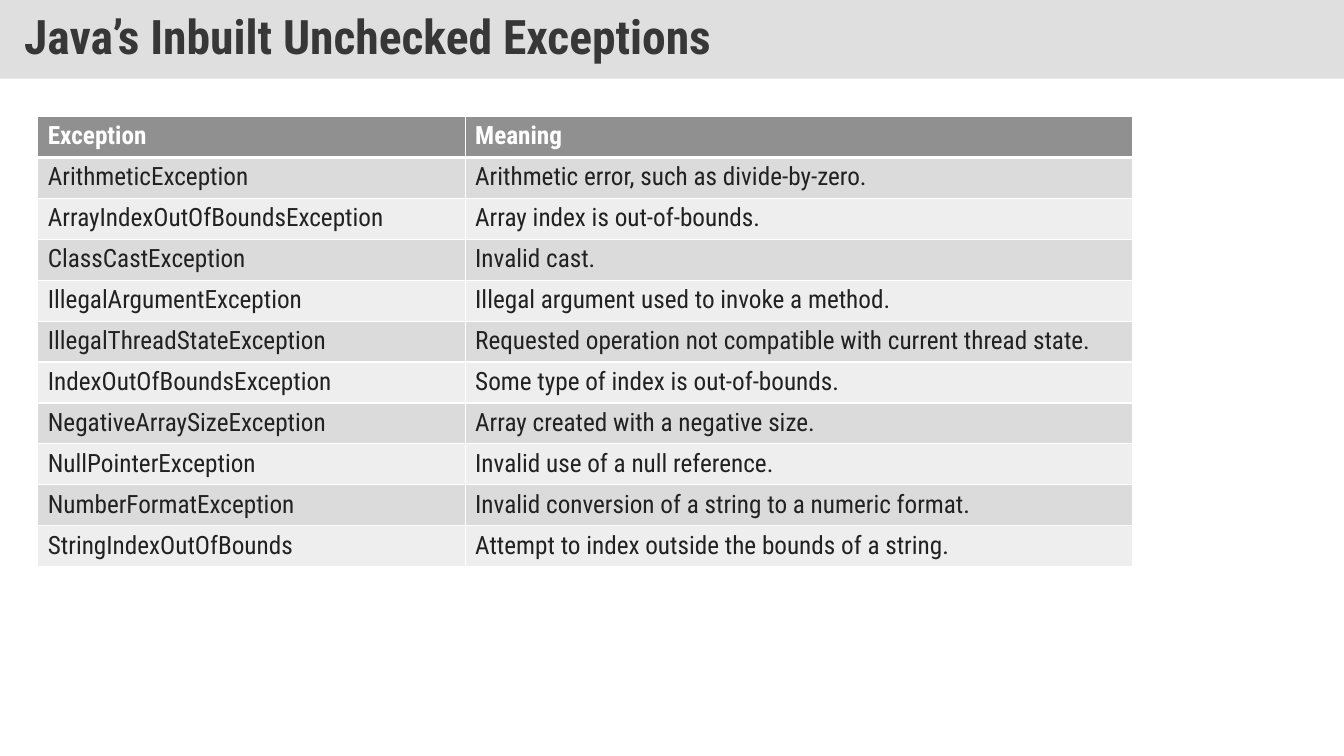
from dataclasses import dataclass
from typing import NamedTuple

from lxml import etree
from pptx import Presentation
from pptx.dml.color import RGBColor
from pptx.enum.shapes import MSO_SHAPE
from pptx.enum.text import MSO_ANCHOR, PP_ALIGN
from pptx.oxml.ns import qn
from pptx.util import Emu, Pt

RECTANGLE = MSO_SHAPE.RECTANGLE
MIDDLE = MSO_ANCHOR.MIDDLE
LEFT = PP_ALIGN.LEFT

EMU_PER_PX = 9525
BLANK_LAYOUT = 6


@dataclass(frozen=True)
class Theme:
    font: str = "Roboto Condensed"
    title_size: int = 34
    table_size: int = 18
    title_text: str = "373737"
    title_band: str = "C0C0C0"
    title_opacity: int = 50
    header_fill: str = "909090"
    header_text: str = "FFFFFF"
    body_text: str = "212121"
    odd_fill: str = "DBDBDB"
    even_fill: str = "EEEEEE"
    border: str = "FFFFFF"
    border_width: int = 1
    header_rule_width: int = 3


class Box(NamedTuple):
    left: int
    top: int
    width: int
    height: int


class ExceptionRow(NamedTuple):
    name: str
    meaning: str


THEME = Theme()
SLIDE_WIDTH, SLIDE_HEIGHT = 1280, 720
TITLE = "Java’s Inbuilt Unchecked Exceptions"
TITLE_BOX = Box(0, 0, SLIDE_WIDTH, 75)
TITLE_INSET_X, TITLE_INSET_Y = 23, 12
TABLE_LEFT, TABLE_TOP = 36, 111
COLUMN_WIDTHS = (407, 636)
ROW_HEIGHT = 39

ROWS = (
    ExceptionRow("Exception", "Meaning"),
    ExceptionRow("ArithmeticException", "Arithmetic error, such as divide-by-zero."),
    ExceptionRow("ArrayIndexOutOfBoundsException", "Array index is out-of-bounds."),
    ExceptionRow("ClassCastException", "Invalid cast."),
    ExceptionRow("IllegalArgumentException", "Illegal argument used to invoke a method."),
    ExceptionRow("IllegalThreadStateException",
                 "Requested operation not compatible with current thread state."),
    ExceptionRow("IndexOutOfBoundsException", "Some type of index is out-of-bounds."),
    ExceptionRow("NegativeArraySizeException", "Array created with a negative size."),
    ExceptionRow("NullPointerException", "Invalid use of a null reference."),
    ExceptionRow("NumberFormatException",
                 "Invalid conversion of a string to a numeric format."),
    ExceptionRow("StringIndexOutOfBounds",
                 "Attempt to index outside the bounds of a string."),
)


def px(length: int) -> Emu:
    return Emu(length * EMU_PER_PX)


def add_run(paragraph, text: str, size: int, color: str, bold: bool) -> None:
    run = paragraph.add_run()
    run.text = text
    run.font.name = THEME.font
    run.font.size = Pt(size)
    run.font.bold = bold
    run.font.color.rgb = RGBColor.from_string(color)


def set_borders(cell, top_width: int, bottom_width: int) -> None:
    widths = {"a:lnL": THEME.border_width, "a:lnR": THEME.border_width,
              "a:lnT": top_width, "a:lnB": bottom_width}
    properties = cell._tc.get_or_add_tcPr()
    for position, (tag, width) in enumerate(widths.items()):
        line = etree.Element(qn(tag), w=str(Pt(width)))
        fill = etree.SubElement(line, qn("a:solidFill"))
        etree.SubElement(fill, qn("a:srgbClr"), val=THEME.border)
        properties.insert(position, line)


def add_title(slide) -> None:
    band = slide.shapes.add_shape(RECTANGLE, *map(px, TITLE_BOX))
    band.shadow.inherit = False
    band.line.fill.background()
    band.fill.solid()
    band.fill.fore_color.rgb = RGBColor.from_string(THEME.title_band)
    color = band._element.spPr.find(qn("a:solidFill")).find(qn("a:srgbClr"))
    etree.SubElement(color, qn("a:alpha"), val=str(THEME.title_opacity * 1000))

    frame = band.text_frame
    frame.word_wrap = True
    frame.vertical_anchor = MIDDLE
    frame.margin_left = frame.margin_right = px(TITLE_INSET_X)
    frame.margin_top = frame.margin_bottom = px(TITLE_INSET_Y)
    paragraph = frame.paragraphs[0]
    paragraph.alignment = LEFT
    paragraph.line_spacing = 0.9
    add_run(paragraph, TITLE, THEME.title_size, THEME.title_text, True)


def fill_cell(cell, text: str, row_index: int) -> None:
    is_header = row_index == 0
    if is_header:
        fill = THEME.header_fill
    else:
        fill = THEME.odd_fill if row_index % 2 else THEME.even_fill
    cell.fill.solid()
    cell.fill.fore_color.rgb = RGBColor.from_string(fill)
    # The rule under the header is shared with the first body row
    set_borders(
        cell,
        THEME.header_rule_width if row_index == 1 else THEME.border_width,
        THEME.header_rule_width if is_header else THEME.border_width,
    )
    color = THEME.header_text if is_header else THEME.body_text
    add_run(cell.text_frame.paragraphs[0], text, THEME.table_size, color, is_header)


def add_exception_table(slide) -> None:
    box = Box(TABLE_LEFT, TABLE_TOP, sum(COLUMN_WIDTHS), ROW_HEIGHT * len(ROWS))
    table = slide.shapes.add_table(
        len(ROWS), len(COLUMN_WIDTHS), *map(px, box)).table
    for column, width in zip(table.columns, COLUMN_WIDTHS):
        column.width = px(width)
    for row_index, row in enumerate(ROWS):
        table.rows[row_index].height = px(ROW_HEIGHT)
        for column_index, text in enumerate(row):
            fill_cell(table.cell(row_index, column_index), text, row_index)


def main() -> None:
    presentation = Presentation()
    presentation.slide_width = px(SLIDE_WIDTH)
    presentation.slide_height = px(SLIDE_HEIGHT)
    slide = presentation.slides.add_slide(presentation.slide_layouts[BLANK_LAYOUT])

    # Title band
    add_title(slide)

    # Table of exceptions
    add_exception_table(slide)

    presentation.save("out.pptx")


if __name__ == "__main__":
    main()
